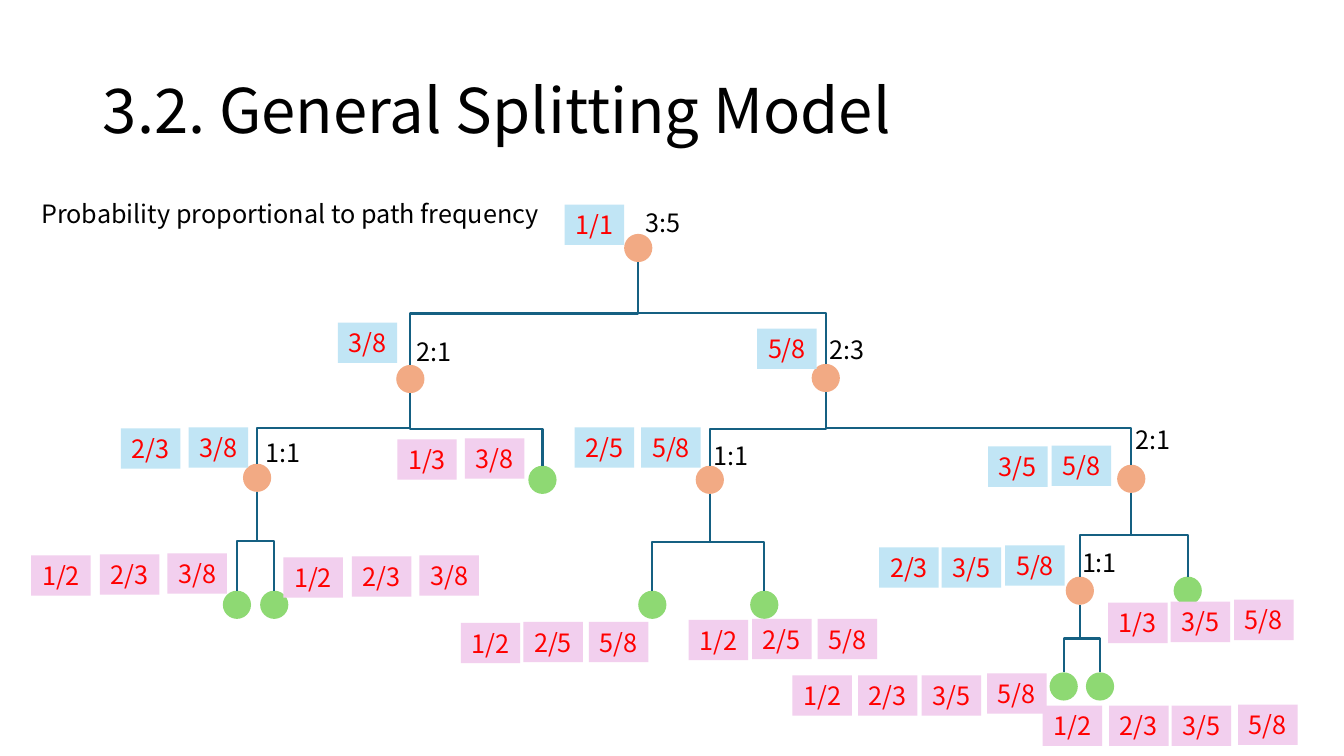
"""Build a slide showing a splitting tree with path probabilities."""
from lxml.etree import SubElement
from pptx import Presentation
from pptx.dml.color import RGBColor as RGB
from pptx.enum.shapes import MSO_CONNECTOR as CONN, MSO_SHAPE as SHAPE
from pptx.enum.text import MSO_ANCHOR as ANCHOR, MSO_AUTO_SIZE as AUTO, PP_ALIGN as ALIGN
from pptx.oxml.ns import qn
from pptx.util import Pt

PX = 9144
NODE = 28
LABEL_W, LABEL_H = 59, 40
SITE_TOP, SITE_BOTTOM = 0, 4
FONT = "Noto Sans CJK KR"
COLORS = {
    "text": "000000",
    "fraction": "FF0000",
    "line": "156082",
    "inner": "F2AA84",
    "leaf": "8ED973",
    "inner_tag": "C1E5F5",
    "leaf_tag": "F2CFEE",
}

# Each key spells the route from the root: its parent is the key without the last letter.
# Values: node position, own fraction, tag positions.
NODES = {
    "": ((619, 232), "1/1", [(560, 203)]),
    "L": ((393, 362), "3/8", [(335, 320)]),
    "R": ((805, 361), "5/8", [(751, 326)]),
    "LL": ((241, 460), "2/3", [(120, 425), (187, 424)]),
    "LR": ((524, 462), "1/3", [(394, 436), (461, 435)]),
    "RL": ((690, 462), "2/5", [(570, 424), (636, 424)]),
    "RR": ((1108, 461), "3/5", [(980, 443), (1043, 442)]),
    "LLL": ((221, 586), "1/2", [(31, 551), (99, 550), (166, 549)]),
    "LLR": ((258, 586), "1/2", [(281, 553), (349, 552), (416, 551)]),
    "RLL": ((633, 586), "1/2", [(457, 618), (519, 617), (584, 617)]),
    "RLR": ((744, 586), "1/2", [(683, 615), (746, 614), (811, 614)]),
    "RRL": ((1057, 572), "2/3", [(872, 543), (934, 543), (997, 541)]),
    "RRR": ((1164, 572), "1/3", [(1099, 598), (1161, 597), (1224, 595)]),
    "RRLL": ((1041, 667), "1/2", [(786, 670), (851, 670), (914, 670), (979, 668)]),
    "RRLR": ((1077, 667), "1/2", [(1034, 700), (1100, 700), (1162, 700), (1228, 699)]),
}
RATIOS = {
    "": ("3:5", 628, 201),
    "L": ("2:1", 401, 329),
    "R": ("2:3", 811, 327),
    "LL": ("1:1", 251, 429),
    "RL": ("1:1", 696, 432),
    "RR": ("2:1", 1114, 416),
    "RRL": ("1:1", 1061, 538),
}


def emu(*lengths):
    """Turn px lengths into EMU."""
    return [round(n * PX) for n in lengths]


def color(name):
    """Look up a colour by its role."""
    return RGB.from_string(COLORS[name])


def write(tf, text, size, ink, align):
    """Put one formatted paragraph into a text frame."""
    p = tf.paragraphs[0]
    p.alignment = align
    r = p.add_run()
    r.text = text
    for key, value in {"name": FONT, "size": Pt(size)}.items():
        setattr(r.font, key, value)
    r.font.color.rgb = color(ink)
    return p


def add_title(slide, text):
    """Place and fill the title placeholder."""
    sp = slide.shapes.title
    box = dict(zip(("left", "top", "width", "height"), emu(92, 40, 1150, 145)))
    for key, value in box.items():
        setattr(sp, key, value)
    sp.text_frame.vertical_anchor = ANCHOR.MIDDLE
    write(sp.text_frame, text, 44, "text", ALIGN.LEFT).line_spacing = 0.9


def add_label(slide, text, x, y, w=LABEL_W, ink="text", fill=None, align=ALIGN.CENTER):
    """Add a text label, filled when a fill is named."""
    sp = slide.shapes.add_textbox(*emu(x, y, w, LABEL_H))
    if fill:
        sp.fill.solid()
        sp.fill.fore_color.rgb = color(fill)
    tf = sp.text_frame
    for key, value in {"word_wrap": True, "auto_size": AUTO.SHAPE_TO_FIT_TEXT}.items():
        setattr(tf, key, value)
    write(tf, text, 18, ink, align)


def add_node(slide, x, y, fill):
    """Add a round tree node."""
    sp = slide.shapes.add_shape(SHAPE.OVAL, *emu(x, y, NODE, NODE))
    sp.shadow.inherit = False
    sp.fill.solid()
    sp.fill.fore_color.rgb = color(fill)
    sp.line.fill.background()
    return sp


def add_branch(slide, parent, child):
    """Join the bottom of a parent to the top of its child by an elbow."""
    x1, y1 = parent.left + parent.width // 2, parent.top + parent.height
    x2, y2 = child.left + child.width // 2, child.top
    w, h = y2 - y1, abs(x2 - x1)
    left, top = (x1 + x2 - w) // 2, (y1 + y2 - h) // 2
    c = slide.shapes.add_connector(CONN.ELBOW, left, top, left + w, top + h)
    c._connect_begin_to(parent, SITE_BOTTOM)
    c._connect_end_to(child, SITE_TOP)
    xfrm = c._element.spPr.find(qn("a:xfrm"))
    turn = {"rot": "5400000"} if x2 < x1 else {"rot": "16200000", "flipH": "1"}
    for key, value in turn.items():
        xfrm.set(key, value)
    c.line.color.rgb = color("line")
    c.line.width = Pt(1.5)
    SubElement(c._element.spPr, qn("a:effectLst"))


def path_fractions(key):
    """List the fractions from a node up to the level below the root."""
    return [NODES[key[:n]][1] for n in range(len(key), 0, -1)] or [NODES[key][1]]


def main():
    """Build and save the slide."""
    prs = Presentation()
    prs.slide_width, prs.slide_height = emu(1333, 750)
    slide = prs.slides.add_slide(prs.slide_layouts[5])
    add_title(slide, "3.2. General Splitting Model")
    kinds = {key: "inner" if key in RATIOS else "leaf" for key in NODES}
    ovals = {key: add_node(slide, *NODES[key][0], kinds[key]) for key in NODES}
    for key in filter(None, ovals):
        add_branch(slide, ovals[key[:-1]], ovals[key])
    for ratio in RATIOS.values():
        add_label(slide, *ratio)
    for key, (_, _, spots) in NODES.items():
        for text, (x, y) in zip(path_fractions(key), spots):
            add_label(slide, text, x, y, ink="fraction", fill=kinds[key] + "_tag")
    add_label(slide, "Probability proportional to path frequency", 31, 192, 667, align=ALIGN.LEFT)
    prs.save("out.pptx")


if __name__ == "__main__":
    main()
